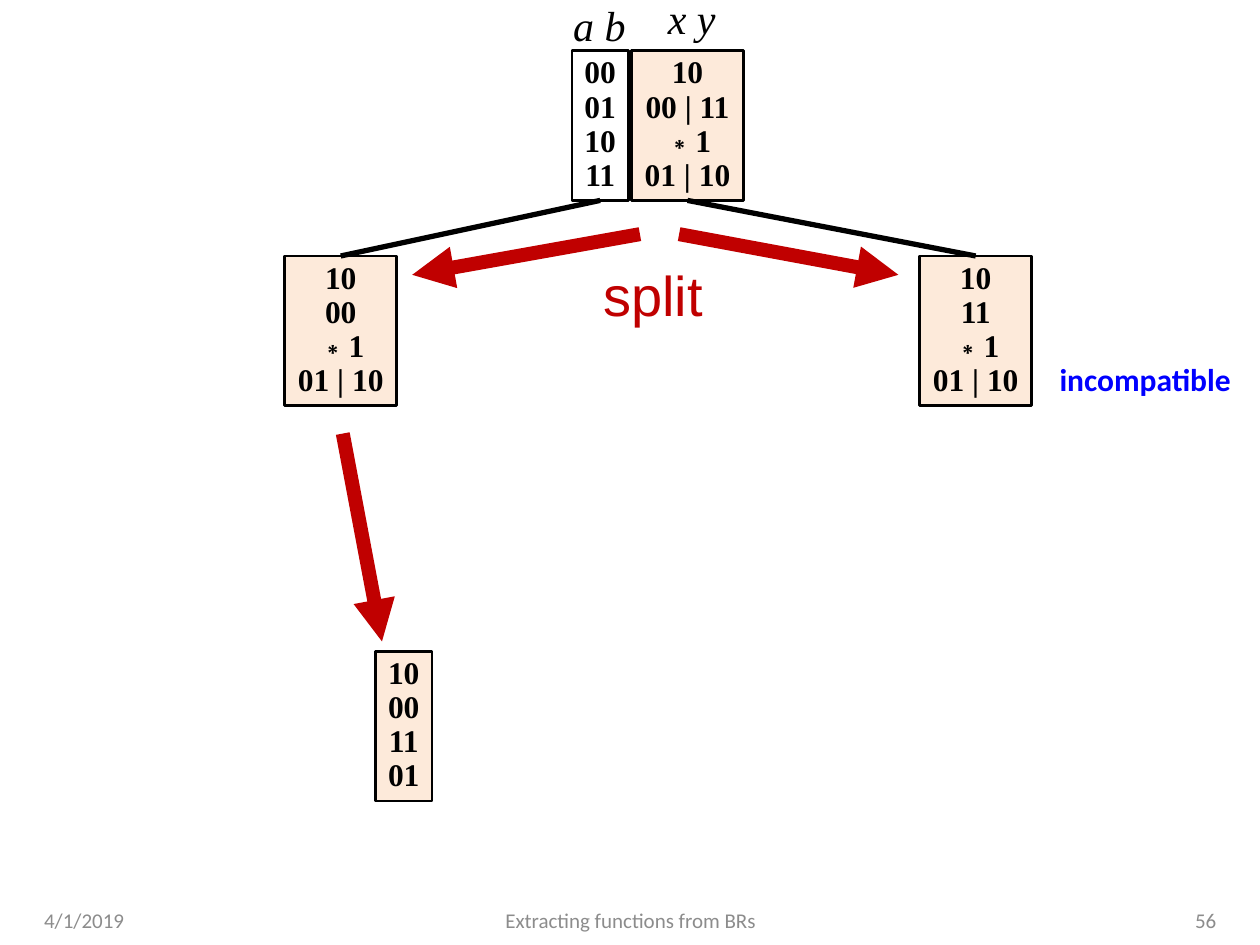
import pptx
import pptx.util
import pptx.dml.color
import pptx.enum.shapes
import pptx.enum.text
import pptx.oxml.ns
import lxml.etree

Cm, Pt = pptx.util.Cm, pptx.util.Pt
RGB = pptx.dml.color.RGBColor.from_string
ALIGN = pptx.enum.text.PP_ALIGN
ANCHOR = pptx.enum.text.MSO_ANCHOR
qn = pptx.oxml.ns.qn

COLORS = {"ink": "000000", "peach": "FDEADA", "red": "C00000",
          "blue": "0000FF", "gray": "8C8C8C"}
SERIF = "Times New Roman"

prs = pptx.Presentation()
prs.slide_width, prs.slide_height = Cm(25.4), Cm(19.05)
s = prs.slides.add_slide(prs.slide_layouts[6])


def write(sp, lines, font, size, color, align=ALIGN.LEFT, bold=False,
          italic=False, spacing=None, wrap=False, anchor=ANCHOR.TOP):
    """Fill a shape with one equally styled paragraph per line."""
    tf = sp.text_frame
    tf.word_wrap = wrap
    tf.vertical_anchor = anchor
    if not wrap:
        tf.auto_size = pptx.enum.text.MSO_AUTO_SIZE.SHAPE_TO_FIT_TEXT
    for i, line in enumerate(lines):
        p = tf.add_paragraph() if i else tf.paragraphs[0]
        p.alignment = align
        if spacing:
            p.line_spacing = spacing
        r = p.add_run()
        r.text = line
        r.font.name, r.font.size = font, Pt(size)
        r.font.bold, r.font.italic = bold, italic
        r.font.color.rgb = RGB(COLORS[color])


def add_line(start, end, color, width):
    c = s.shapes.add_connector(pptx.enum.shapes.MSO_CONNECTOR.STRAIGHT,
                               *(Cm(v) for v in start + end))
    c.line.color.rgb = RGB(COLORS[color])
    c.line.width = Pt(width)
    lxml.etree.SubElement(c._element.spPr, qn("a:effectLst"))
    return c


# Relation boxes: left, top, width, fill, rows
narrow, wide, height = 1.14, 2.26, 3.02
box_data = {
    "inputs": (11.53, 1.02, narrow, None, ["00", "01", "10", "11"]),
    "outputs": (12.73, 1.02, wide, "peach", ["10", "00 | 11", "∗1", "01 | 10"]),
    "left": (5.74, 5.16, wide, "peach", ["10", "00", "∗1", "01 | 10"]),
    "right": (18.54, 5.16, wide, "peach", ["10", "11", "∗1", "01 | 10"]),
    "function": (7.57, 13.13, narrow, "peach", ["10", "00", "11", "01"]),
}
boxes = {}
for name, (x, y, w, fill, rows) in box_data.items():
    sp = s.shapes.add_shape(pptx.enum.shapes.MSO_SHAPE.RECTANGLE,
                            Cm(x), Cm(y), Cm(w), Cm(height))
    sp.shadow.inherit = False
    if fill:
        sp.fill.solid()
        sp.fill.fore_color.rgb = RGB(COLORS[fill])
    else:
        sp.fill.background()
    sp.line.color.rgb = RGB(COLORS["ink"])
    sp.line.width = Pt(1.5)
    write(sp, rows, SERIF, 18, "ink", ALIGN.CENTER, bold=True, spacing=0.9)
    boxes[name] = sp

# Tree branches from the bottom of a parent to the top of a child
for parent, child in (("inputs", "left"), ("outputs", "right")):
    branch = add_line((0, 0), (0, 0), "ink", 3)
    branch.begin_connect(boxes[parent], 2)
    branch.end_connect(boxes[child], 0)

# Split and step arrows
for start, end in (((12.9, 4.72), (8.31, 5.54)),
                   ((13.69, 4.72), (18.11, 5.54)),
                   ((6.91, 8.74), (7.7, 12.93))):
    arrow = add_line(start, end, "red", 8)
    lxml.etree.SubElement(arrow.line._get_or_add_ln(), qn("a:tailEnd"),
                          type="triangle")

# Labels and footer: text, left, top, width, height, style
heading = dict(font=SERIF, size=24, color="ink", align=ALIGN.CENTER, italic=True)
footer = dict(font="Calibri", size=12, color="gray", wrap=True,
              anchor=ANCHOR.MIDDLE)
labels = [
    ("a b", 11.3, -0.13, 1.57, 1.27, heading),
    ("x y", 13.21, -0.28, 1.47, 1.3, heading),
    ("split", 11.91, 5.13, 2.51, 1.6, dict(font="Arial", size=32, color="red")),
    ("incompatible", 21.11, 7.14, 3.99, 1.02,
     dict(font="Calibri", size=18, color="blue", bold=True)),
    ("4/1/2019", 0.64, 18.03, 7.42, 1.02, footer),
    ("Extracting functions from BRs", 8.69, 18.03, 8.05, 1.02,
     dict(footer, align=ALIGN.CENTER)),
    ("56", 18.85, 18.03, 5.92, 1.02, dict(footer, align=ALIGN.RIGHT)),
]
for text, x, y, w, h, style in labels:
    write(s.shapes.add_textbox(Cm(x), Cm(y), Cm(w), Cm(h)), [text], **style)

prs.save("out.pptx")
